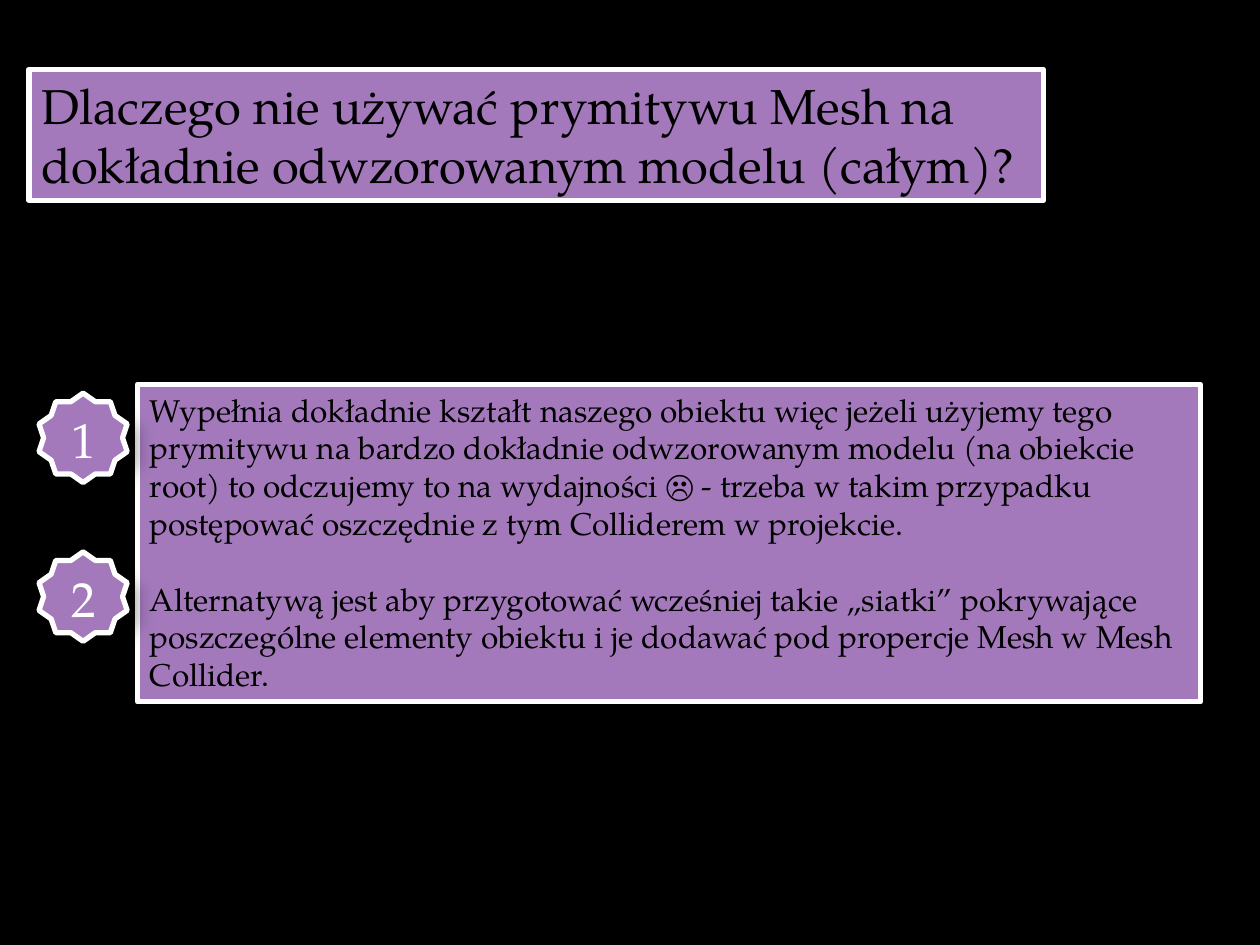
from lxml import etree
from pptx import Presentation
from pptx.dml.color import RGBColor
from pptx.enum.shapes import MSO_SHAPE
from pptx.enum.text import MSO_ANCHOR, MSO_AUTO_SIZE, PP_ALIGN
from pptx.oxml.ns import qn
from pptx.util import Inches, Pt

RECT, STAR = MSO_SHAPE.RECTANGLE, MSO_SHAPE.STAR_10_POINT
TOP, LEFT, GROW = MSO_ANCHOR.TOP, PP_ALIGN.LEFT, MSO_AUTO_SIZE.SHAPE_TO_FIT_TEXT
BLACK = RGBColor(0x00, 0x00, 0x00)
WHITE = RGBColor(0xFF, 0xFF, 0xFF)
PURPLE = RGBColor(0xA3, 0x79, 0xBB)
FONT = "TeX Gyre Pagella"

TITLE = ["Dlaczego nie używać prymitywu Mesh na dokładnie odwzorowanym modelu (całym)?"]
POINTS = [
    "Wypełnia dokładnie kształt naszego obiektu więc jeżeli użyjemy tego "
    "prymitywu na bardzo dokładnie odwzorowanym modelu (na obiekcie root) "
    "to odczujemy to na wydajności ☹ - trzeba w takim przypadku postępować "
    "oszczędnie z tym Colliderem w projekcie.",
    "Alternatywą jest aby przygotować wcześniej takie „siatki” pokrywające "
    "poszczególne elementy obiektu i je dodawać pod propercje Mesh w Mesh Collider.",
]
STAR_TOP, STAR_STEP = 3.12, 1.26


def add_shadow(shape):
    effects = etree.SubElement(shape.element.spPr, qn("a:effectLst"))
    outer = etree.SubElement(effects, qn("a:outerShdw"), blurRad=str(Pt(10.2)),
                             dist=str(Pt(8)), dir="2700000", algn="tl", rotWithShape="0")
    color = etree.SubElement(outer, qn("a:srgbClr"), val=str(BLACK))
    etree.SubElement(color, qn("a:alpha"), val="35000")


def add_panel(slide, kind, box):
    shape = slide.shapes.add_shape(kind, *map(Inches, box))
    shape.fill.solid()
    shape.fill.fore_color.rgb = PURPLE
    shape.line.color.rgb = WHITE
    shape.line.width = Pt(3)
    add_shadow(shape)
    return shape


def write(shape, texts, size, color, gap=0):
    frame = shape.text_frame
    frame.word_wrap = True
    frame.auto_size = GROW
    frame.vertical_anchor = TOP
    for i, text in enumerate(texts):
        para = frame.add_paragraph() if i else frame.paragraphs[0]
        para.text = text
        para.alignment = LEFT
        if i:
            para.space_before = Pt(gap)
        para.font.name = FONT
        para.font.size = Pt(size)
        para.font.color.rgb = color


def main():
    deck = Presentation()
    deck.slide_width, deck.slide_height = Inches(10), Inches(7.5)
    slide = deck.slides.add_slide(deck.slide_layouts[6])
    slide.background.fill.solid()
    slide.background.fill.fore_color.rgb = BLACK

    write(add_panel(slide, RECT, (0.23, 0.55, 8.05, 1.04)), TITLE, 28, BLACK)
    write(add_panel(slide, RECT, (1.09, 3.05, 8.44, 2.52)), POINTS, 18, BLACK, gap=21.6)

    for i in range(len(POINTS)):
        top = STAR_TOP + i * STAR_STEP
        add_panel(slide, STAR, (0.31, top, 0.7, 0.71))
        box = map(Inches, (0.47, top + 0.08, 0.46, 0.57))
        write(slide.shapes.add_textbox(*box), [str(i + 1)], 28, WHITE)

    deck.save("out.pptx")


if __name__ == "__main__":
    main()
